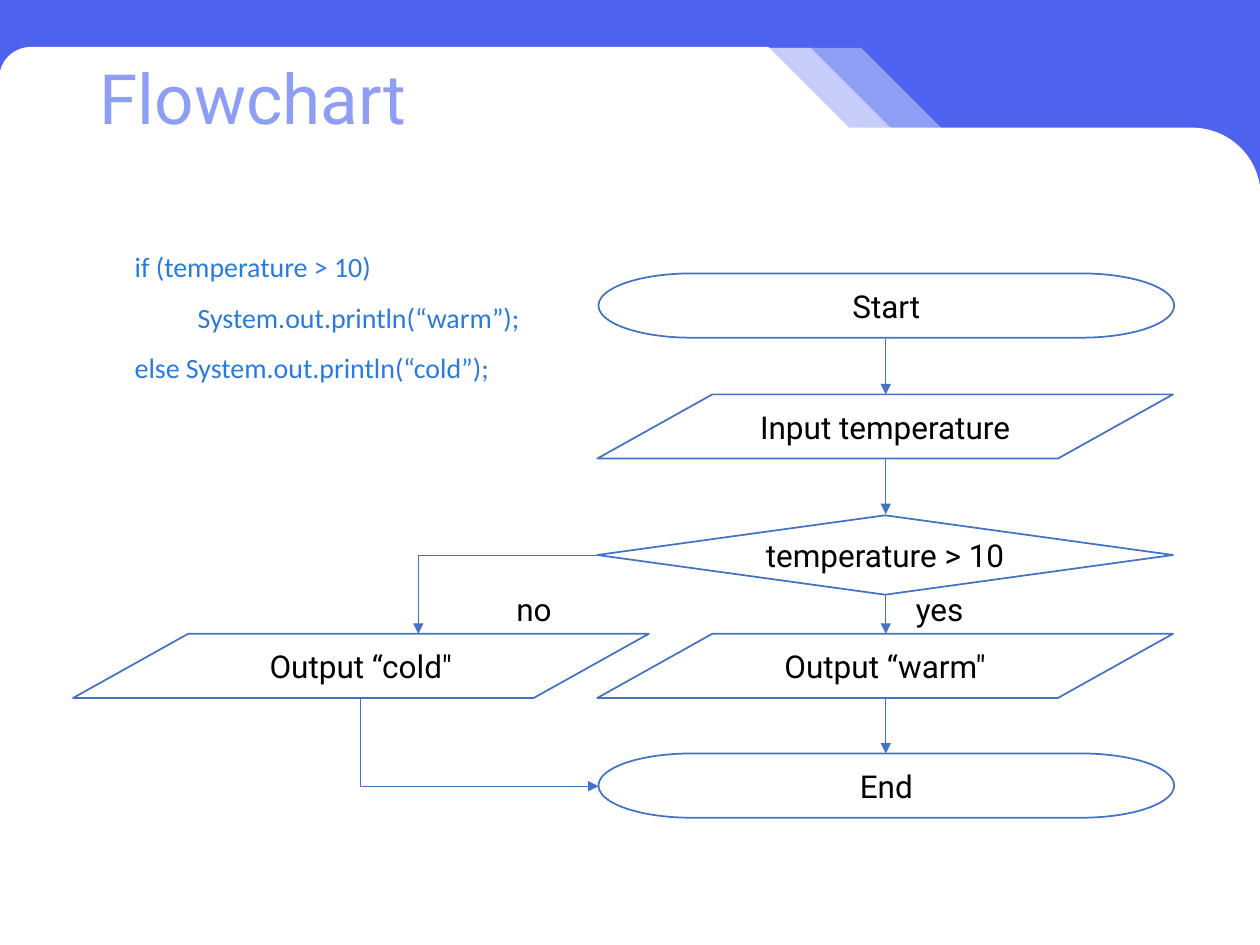
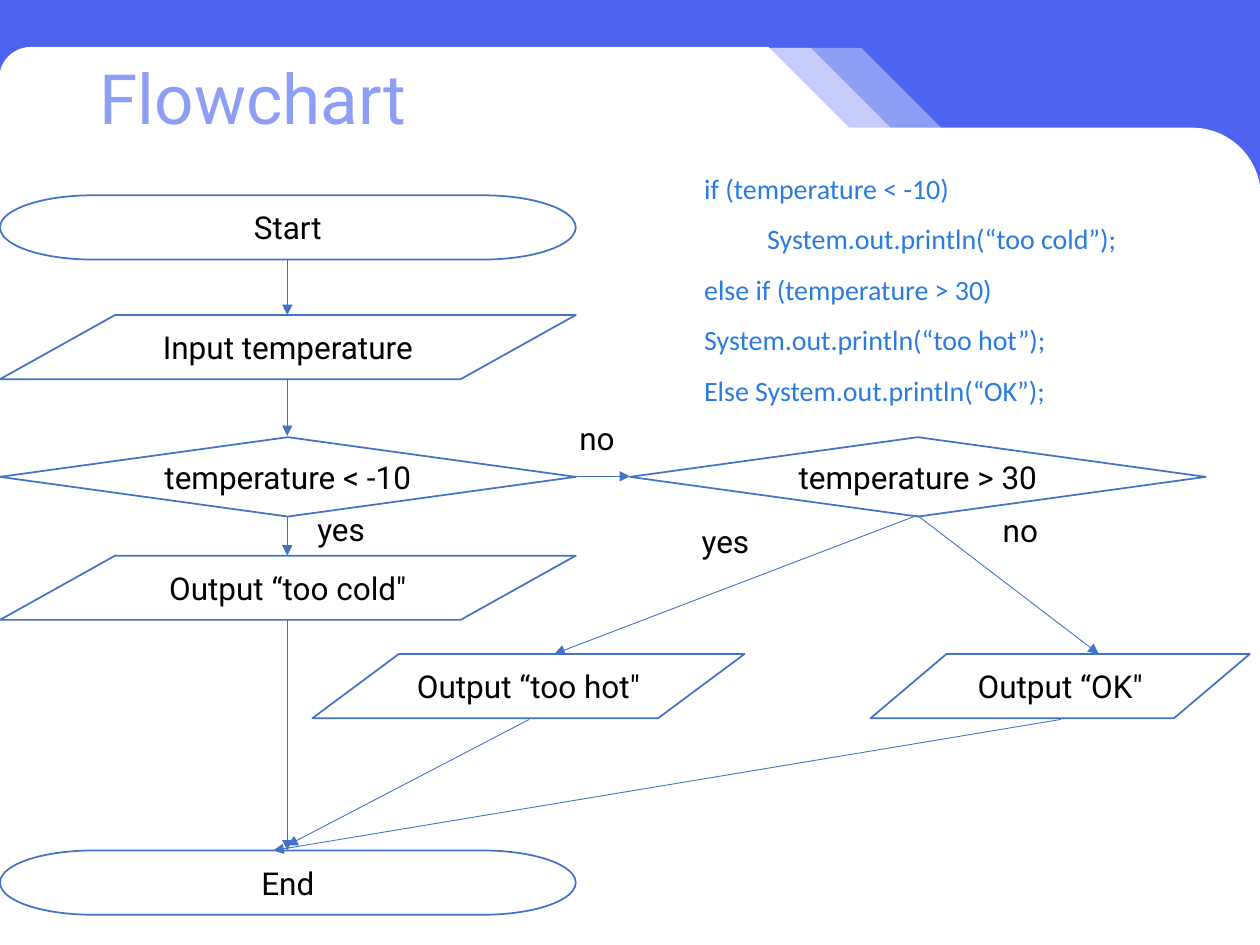
from lxml import etree
from pptx import Presentation
from pptx.dml.color import RGBColor
from pptx.enum.shapes import MSO_CONNECTOR as LINE, MSO_SHAPE as SHAPE
from pptx.enum.text import MSO_ANCHOR as ANCHOR, MSO_AUTO_SIZE as AUTOSIZE, PP_ALIGN as ALIGN
from pptx.oxml.ns import qn
from pptx.util import Inches, Pt

# Colours as hex strings
BLUE, MID_BLUE, PALE_BLUE = "4D63F0", "8F9EF5", "C6CDFA"
WHITE, BLACK, OUTLINE, CODE = "FFFFFF", "000000", "4472C4", "2A7BDE"

# Flowchart kinds with their shape and height
KINDS = {
    "end": (SHAPE.FLOWCHART_TERMINATOR, 0.51),
    "data": (SHAPE.FLOWCHART_DATA, 0.51),
    "test": (SHAPE.FLOWCHART_DECISION, 0.63),
}
NODE_WIDTH = 4.57

# nodes: kind, text, left, top, width; arrows: start and end points
# elbows: horizontal-first end points and the end that carries the arrowhead
FLOWCHARTS = [
    {
        "code": ["if (temperature > 10)", "\tSystem.out.println(“warm”);",
                 "else System.out.println(“cold”);"],
        "code_box": (0.47, 1.8, 5.01, 1.27),
        "nodes": [
            ("end", "Start", 4.75, 2.17, NODE_WIDTH),
            ("end", "End", 4.75, 5.98, NODE_WIDTH),
            ("data", "Input temperature", 4.74, 3.13, NODE_WIDTH),
            ("data", "Output “warm\"", 4.74, 5.03, NODE_WIDTH),
            ("test", "temperature > 10", 4.74, 4.09, NODE_WIDTH),
            ("data", "Output “cold\"", 0.58, 5.03, NODE_WIDTH),
        ],
        "labels": [("yes", 7.17, 4.63), ("no", 4, 4.63)],
        "arrows": [
            (7.03, 2.69, 7.03, 3.13), (7.03, 3.64, 7.03, 4.08),
            (7.03, 4.72, 7.03, 5.03), (7.03, 5.55, 7.03, 5.98),
        ],
        "elbows": [
            ((4.74, 4.41, 3.32, 5.03), "tailEnd"),
            ((4.75, 6.24, 2.86, 5.55), "headEnd"),
        ],
    },
    {
        "code": ["if (temperature < -10)", "\tSystem.out.println(“too cold”);",
                 "else if (temperature > 30) \tSystem.out.println(“too hot”);",
                 "Else System.out.println(“OK”);"],
        "code_box": (4.99, 1.18, 5.01, 2.08),
        "nodes": [
            ("end", "Start", 0, 1.55, NODE_WIDTH),
            ("end", "End", 0, 6.75, NODE_WIDTH),
            ("data", "Input temperature", 0, 2.5, NODE_WIDTH),
            ("data", "Output “too cold\"", 0, 4.41, NODE_WIDTH),
            ("test", "temperature < -10", 0, 3.47, NODE_WIDTH),
            ("data", "Output “too hot\"", 2.48, 5.19, 3.43),
            ("test", "temperature > 30", 5, 3.47, NODE_WIDTH),
            ("data", "Output “OK\"", 6.91, 5.19, 3.01),
        ],
        "labels": [("yes", 2.42, 4), ("no", 4.5, 3.28), ("yes", 5.47, 4.09), ("no", 7.86, 4.01)],
        "arrows": [
            (2.28, 2.06, 2.28, 2.5), (2.28, 3.01, 2.28, 3.46),
            (2.28, 4.1, 2.28, 4.41), (2.28, 4.92, 2.28, 6.75),
            (4.56, 3.78, 5, 3.78), (7.28, 4.09, 4.4, 5.19), (7.28, 4.09, 8.72, 5.19),
            (8.42, 5.71, 2.17, 6.75), (4.2, 5.71, 2.28, 6.71),
        ],
        "elbows": [],
    },
]


def rgb(hex_string):
    return RGBColor.from_string(hex_string)


def add_run(paragraph, text, size, font, colour):
    run = paragraph.add_run()
    run.text = text
    run.font.size = Pt(size)
    run.font.name = font
    run.font.color.rgb = rgb(colour)


presentation = Presentation()
presentation.slide_width, presentation.slide_height = Inches(10), Inches(7.5)
layout = presentation.slide_layouts[5]
layout.background.fill.solid()
layout.background.fill.fore_color.rgb = rgb(BLUE)
slides = [presentation.slides.add_slide(layout) for _ in FLOWCHARTS]

# Shared bands, drawn once and moved behind the layout's placeholders
BANDS = [
    (SHAPE.SNIP_ROUND_RECTANGLE, (0.74, 0.38, 6.83, 1.47), (0.167, 0.5), MID_BLUE),
    (SHAPE.SNIP_ROUND_RECTANGLE, (0.34, 0.38, 6.83, 1.47), (0.167, 0.5), PALE_BLUE),
    (SHAPE.SNIP_ROUND_RECTANGLE, (0, 0.38, 6.83, 1.47), (0.167, 0.5), WHITE),
    (SHAPE.ROUND_2_SAME_RECTANGLE, (0, 1.02, 10, 6.48), (0.083, 0), WHITE),
]
for position, (kind, box, corners, colour) in enumerate(BANDS):
    band = slides[0].shapes.add_shape(kind, *map(Inches, box))
    for index, corner in enumerate(corners):
        band.adjustments[index] = corner
    band.shadow.inherit = False
    band.fill.solid()
    band.fill.fore_color.rgb = rgb(colour)
    if colour == WHITE:
        band.line.color.rgb = rgb(WHITE)
        band.line.width = Pt(1)
    else:
        band.line.fill.background()
    layout.shapes.element.insert(2 + position, band.element)

for slide, chart in zip(slides, FLOWCHARTS):
    # Title
    title = slide.shapes.title
    title.left, title.top, title.width, title.height = map(Inches, (0.69, 0.51, 5.52, 0.6))
    frame = title.text_frame
    frame.auto_size = AUTOSIZE.NONE
    frame.vertical_anchor = ANCHOR.MIDDLE
    paragraph = frame.paragraphs[0]
    paragraph.alignment = ALIGN.LEFT
    paragraph.line_spacing = 0.9
    add_run(paragraph, "Flowchart", 39.6, "Roboto", MID_BLUE)

    # Code listing
    frame = slide.shapes.add_textbox(*map(Inches, chart["code_box"])).text_frame
    frame.word_wrap = True
    frame.auto_size = AUTOSIZE.SHAPE_TO_FIT_TEXT
    for number, line in enumerate(chart["code"]):
        paragraph = frame.add_paragraph() if number else frame.paragraphs[0]
        paragraph.level = 1
        paragraph.line_spacing = 1.5
        properties = paragraph._p.get_or_add_pPr()
        properties.set("marL", str(Inches(0.5)))
        properties.set("indent", "0")
        add_run(paragraph, line, 16, "Calibri", CODE)

    # Flowchart nodes
    for kind, text, left, top, width in chart["nodes"]:
        preset, height = KINDS[kind]
        node = slide.shapes.add_shape(preset, *map(Inches, (left, top, width, height)))
        node.shadow.inherit = False
        node.fill.solid()
        node.fill.fore_color.rgb = rgb(WHITE)
        node.line.color.rgb = rgb(OUTLINE)
        node.line.width = Pt(1)
        node.text_frame.word_wrap = True
        node.text_frame.vertical_anchor = ANCHOR.MIDDLE
        paragraph = node.text_frame.paragraphs[0]
        paragraph.alignment = ALIGN.CENTER
        add_run(paragraph, text, 18, "Roboto", BLACK)

    # Branch labels
    for text, left, top in chart["labels"]:
        frame = slide.shapes.add_textbox(*map(Inches, (left, top, 1, 0.4))).text_frame
        frame.word_wrap = True
        frame.auto_size = AUTOSIZE.SHAPE_TO_FIT_TEXT
        add_run(frame.paragraphs[0], text, 18, "Roboto", BLACK)

    # Straight and elbow arrows
    arrows = [(LINE.STRAIGHT, points, "tailEnd") for points in chart["arrows"]]
    arrows += [(LINE.ELBOW, points, end) for points, end in chart["elbows"]]
    for kind, points, end in arrows:
        arrow = slide.shapes.add_connector(kind, *map(Inches, points))
        arrow.line.color.rgb = rgb(OUTLINE)
        arrow.line.width = Pt(0.5)
        properties = arrow.element.find(qn("p:spPr"))
        if kind == LINE.ELBOW:
            properties.find(qn("a:prstGeom")).set("prst", "bentConnector2")
        etree.SubElement(properties.find(qn("a:ln")), qn(f"a:{end}"), type="triangle")
        etree.SubElement(properties, qn("a:effectLst"))

presentation.save("out.pptx")
